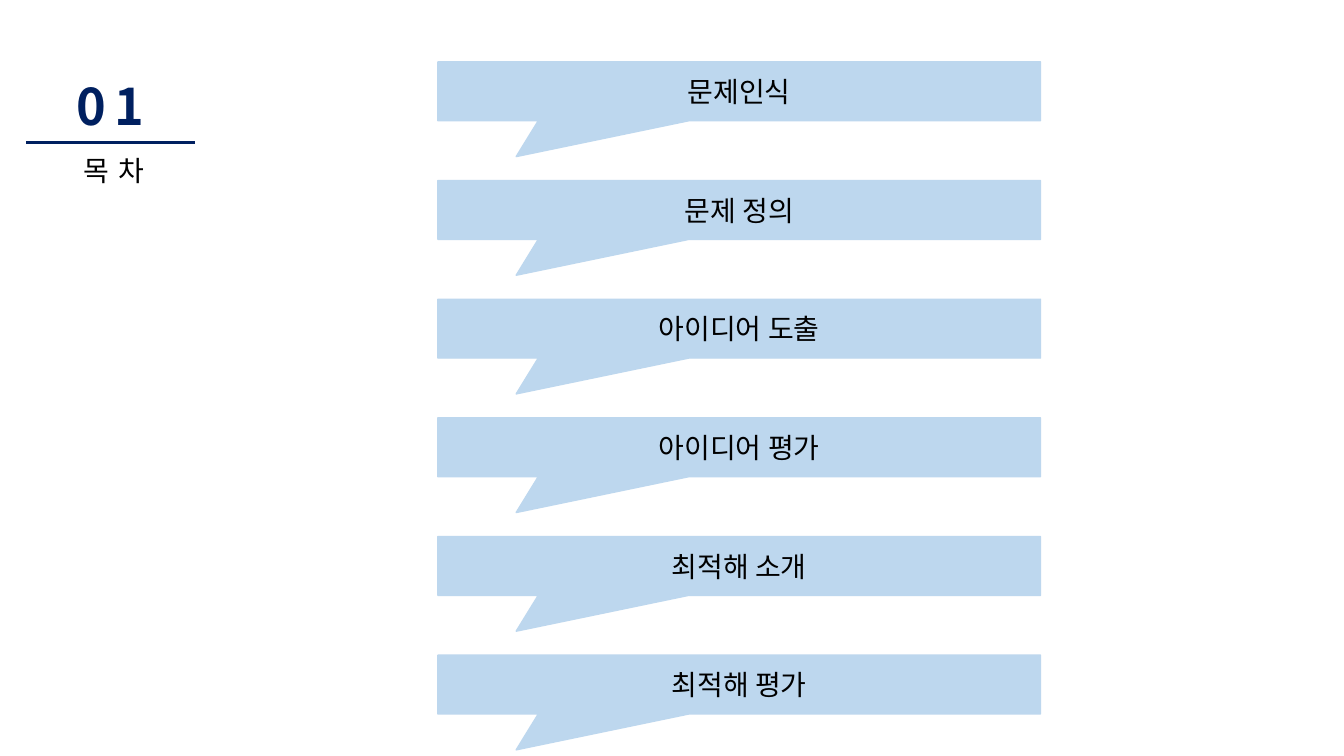
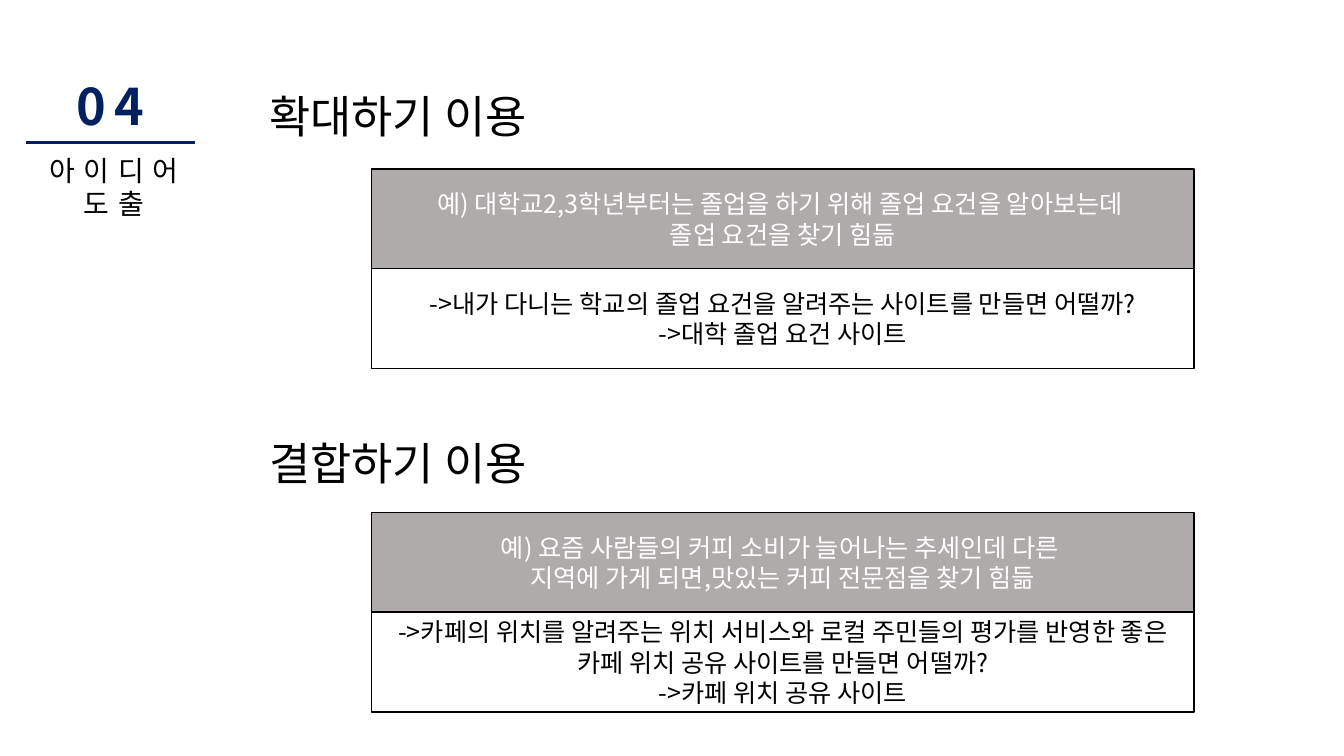
from dataclasses import dataclass

from lxml import etree
from pptx import Presentation
from pptx.dml.color import RGBColor
from pptx.enum.shapes import MSO_CONNECTOR, MSO_SHAPE
from pptx.enum.text import MSO_ANCHOR, MSO_AUTO_SIZE, PP_ALIGN
from pptx.oxml.ns import qn
from pptx.shapes.autoshape import Shape
from pptx.slide import Slide
from pptx.util import Emu, Pt

PX = 9525
FONT = "Noto Sans CJK KR"
COLORS = {
    "navy": "002060",
    "sky": "BDD7EE",
    "gray": "AFABAB",
    "black": "000000",
    "white": "FFFFFF",
}
LEFT, CENTER = PP_ALIGN.LEFT, PP_ALIGN.CENTER
TOP, MIDDLE = MSO_ANCHOR.TOP, MSO_ANCHOR.MIDDLE
FIT_SHAPE, NO_FIT = MSO_AUTO_SIZE.SHAPE_TO_FIT_TEXT, MSO_AUTO_SIZE.NONE
CALLOUT, PROCESS = MSO_SHAPE.RECTANGULAR_CALLOUT, MSO_SHAPE.FLOWCHART_PROCESS
STRAIGHT = MSO_CONNECTOR.STRAIGHT
TITLE_ONLY = 5

CALLOUT_TOP, CALLOUT_PITCH = 59, 113
PANEL_HEIGHT = 95
LABEL_HEIGHT, LABEL_LINE = 42, 32


@dataclass(frozen=True)
class Box:
    left: int
    top: int
    width: int
    height: int

    def emu(self) -> tuple[Emu, ...]:
        return tuple(Emu(value * PX) for value in (self.left, self.top, self.width, self.height))


@dataclass(frozen=True)
class TextStyle:
    size: int
    color: str = "black"
    bold: bool = False
    spacing: int = 0
    align: PP_ALIGN = CENTER


@dataclass(frozen=True)
class Technique:
    heading: str
    heading_top: int
    panel_top: int
    example: list[str]
    idea: list[str]


NUMBER_STYLE = TextStyle(36, "navy", bold=True, spacing=6, align=LEFT)
LABEL_STYLE = TextStyle(20, spacing=6)
CALLOUT_STYLE = TextStyle(20)
HEADING_STYLE = TextStyle(32, align=LEFT)
EXAMPLE_STYLE = TextStyle(18, "white")
IDEA_STYLE = TextStyle(18)

TOPICS = ["문제인식", "문제 정의", "아이디어 도출", "아이디어 평가", "최적해 소개", "최적해 평가"]
TECHNIQUES = [
    Technique(
        "확대하기 이용", 80, 161,
        ["예) 대학교2,3학년부터는 졸업을 하기 위해 졸업 요건을 알아보는데 ", "졸업 요건을 찾기 힘듦"],
        ["->내가 다니는 학교의 졸업 요건을 알려주는 사이트를 만들면 어떨까?", "->대학 졸업 요건 사이트"],
    ),
    Technique(
        "결합하기 이용", 410, 488,
        ["예) 요즘 사람들의 커피 소비가 늘어나는 추세인데 다른 ", "지역에 가게 되면,맛있는 커피 전문점을 찾기 힘듦"],
        ["->카페의 위치를 알려주는 위치 서비스와 로컬 주민들의 평가를 반영한 좋은 "
         "카페 위치 공유 사이트를 만들면 어떨까?", "->카페 위치 공유 사이트"],
    ),
]


def rgb(name: str) -> RGBColor:
    return RGBColor.from_string(COLORS[name])


def write(shape: Shape, lines: list[str], style: TextStyle, **frame_format) -> None:
    """Fill the shape with one paragraph per line; frame_format overrides the frame defaults."""
    frame = shape.text_frame
    frame_values = {"word_wrap": True, "vertical_anchor": TOP, "auto_size": FIT_SHAPE}
    for name, value in (frame_values | frame_format).items():
        setattr(frame, name, value)
    font_values = {"size": Pt(style.size), "bold": style.bold, "name": FONT}
    for index, line in enumerate(lines):
        paragraph = frame.add_paragraph() if index else frame.paragraphs[0]
        paragraph.alignment = style.align
        run = paragraph.add_run()
        run.text = line
        for name, value in font_values.items():
            setattr(run.font, name, value)
        run.font.color.rgb = rgb(style.color)
        properties = run._r.get_or_add_rPr()
        etree.SubElement(properties, qn("a:ea")).set("typeface", FONT)
        if style.spacing:
            properties.set("spc", str(style.spacing * 100))


def add_text(slide: Slide, box: Box, text: str, style: TextStyle, wrap: bool = True) -> None:
    write(slide.shapes.add_textbox(*box.emu()), [text], style, word_wrap=wrap)


def add_panel(slide: Slide, kind: MSO_SHAPE, box: Box, fill: str, line: str,
              lines: list[str], style: TextStyle) -> Shape:
    shape = slide.shapes.add_shape(kind, *box.emu())
    shape.shadow.inherit = False
    shape.fill.solid()
    shape.fill.fore_color.rgb = rgb(fill)
    shape.line.color.rgb = rgb(line)
    shape.line.width = Pt(1)
    write(shape, lines, style, vertical_anchor=MIDDLE, auto_size=NO_FIT)
    return shape


def add_section_slide(presentation: Presentation, number: str, label: list[str]) -> Slide:
    """Add a slide with the section number, the rule and the title at its left edge."""
    slide = presentation.slides.add_slide(presentation.slide_layouts[TITLE_ONLY])
    title = slide.shapes.title
    title_box = Box(29, 141, 159, LABEL_HEIGHT + LABEL_LINE * (len(label) - 1))
    title.left, title.top, title.width, title.height = title_box.emu()
    write(title, label, LABEL_STYLE, word_wrap=False)
    add_text(slide, Box(63, 67, 97, 68), number, NUMBER_STYLE, wrap=False)
    rule = slide.shapes.add_connector(STRAIGHT, *(Emu(value * PX) for value in (25, 136, 186, 136)))
    rule.line.color.rgb = rgb("navy")
    rule.line.width = Pt(2)
    etree.SubElement(rule._element.spPr, qn("a:effectLst"))
    return slide


def add_contents(presentation: Presentation) -> None:
    slide = add_section_slide(presentation, "01", ["목차"])
    for index, topic in enumerate(TOPICS):
        box = Box(417, CALLOUT_TOP + index * CALLOUT_PITCH, 574, 56)
        callout = add_panel(slide, CALLOUT, box, "sky", "sky", [topic], CALLOUT_STYLE)
        callout.adjustments[0] = -0.37
        callout.adjustments[1] = 1.11


def add_ideas(presentation: Presentation) -> None:
    slide = add_section_slide(presentation, "04", ["아이디어", "도출"])
    for technique in TECHNIQUES:
        add_text(slide, Box(247, technique.heading_top, 300, 61), technique.heading, HEADING_STYLE)
        rows = [
            ("gray", technique.example, EXAMPLE_STYLE),
            ("white", technique.idea, IDEA_STYLE),
        ]
        for index, (fill, lines, style) in enumerate(rows):
            box = Box(354, technique.panel_top + index * PANEL_HEIGHT, 783, PANEL_HEIGHT)
            add_panel(slide, PROCESS, box, fill, "black", lines, style)


def main() -> None:
    presentation = Presentation()
    presentation.slide_width = Emu(1280 * PX)
    presentation.slide_height = Emu(720 * PX)
    add_contents(presentation)
    add_ideas(presentation)
    presentation.save("out.pptx")


if __name__ == "__main__":
    main()
